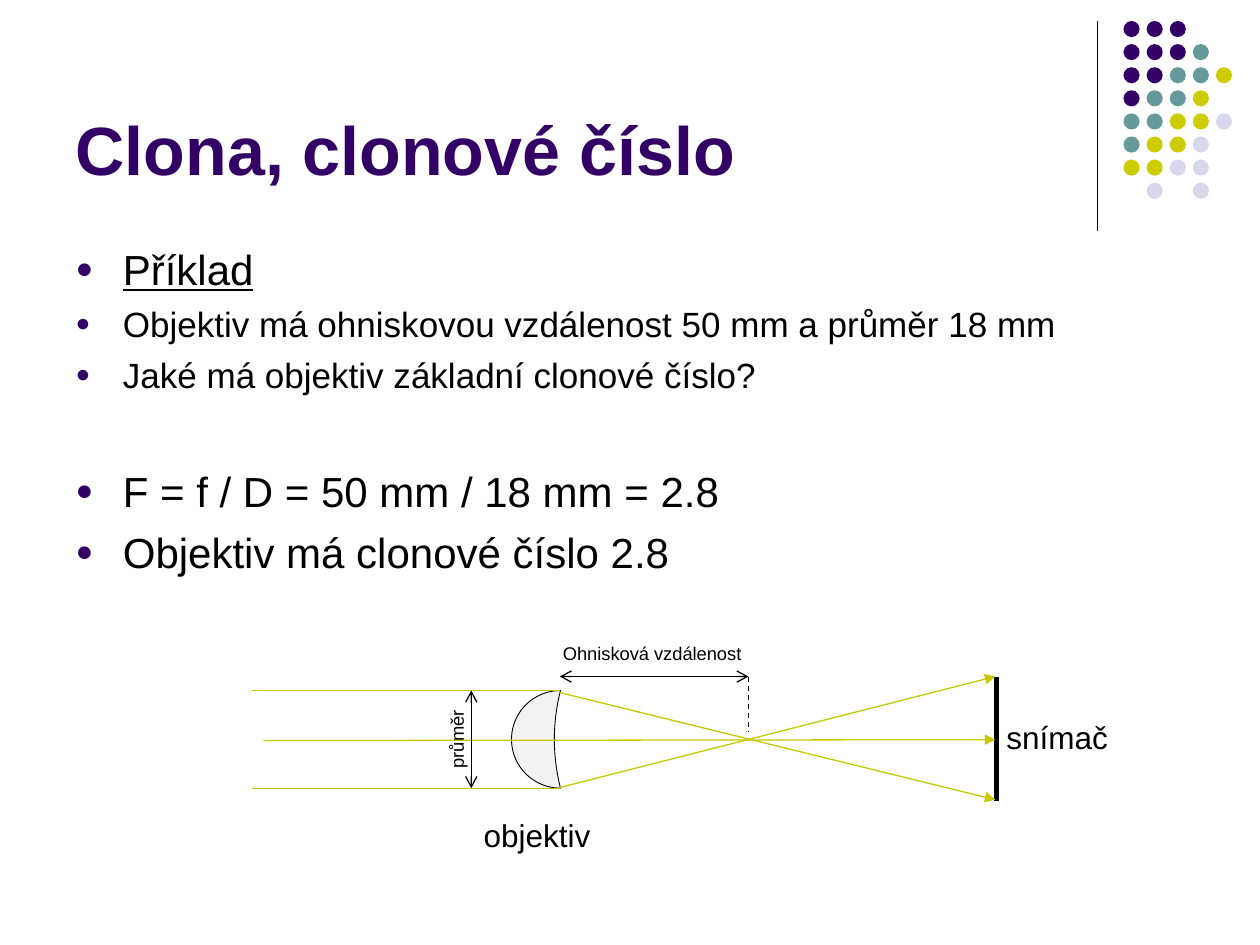
from lxml import etree
from pptx import Presentation
from pptx.dml.color import RGBColor
from pptx.enum.dml import MSO_LINE
from pptx.enum.shapes import MSO_CONNECTOR, MSO_SHAPE
from pptx.enum.text import MSO_ANCHOR, MSO_AUTO_SIZE, PP_ALIGN
from pptx.oxml.ns import qn
from pptx.util import Pt

STRAIGHT = MSO_CONNECTOR.STRAIGHT
OVAL, MOON = MSO_SHAPE.OVAL, MSO_SHAPE.MOON
DASH = MSO_LINE.DASH
TOP, BOTTOM = MSO_ANCHOR.TOP, MSO_ANCHOR.BOTTOM
LEFT = PP_ALIGN.LEFT
NO_FIT = MSO_AUTO_SIZE.NONE

BLACK = RGBColor(0x00, 0x00, 0x00)
PURPLE = RGBColor(0x33, 0x00, 0x66)
TEAL = RGBColor(0x66, 0x99, 0x99)
YELLOW = RGBColor(0xCC, 0xCC, 0x00)
LILAC = RGBColor(0xD8, 0xD8, 0xEC)
GLASS = RGBColor(0xF2, 0xF2, 0xF2)
RAY = RGBColor(0xC8, 0xC8, 0x00)

FONT = "Arial"
DOT_COLORS = {"P": PURPLE, "T": TEAL, "Y": YELLOW, "L": LILAC}
DOT_ROWS = ["PPP", "PPPT", "PPTTY", "PTTY", "TTYYL", "TYYL", "YYLL", " L L"]
DOT_LEFT, DOT_TOP, DOT_PITCH, DOT_SIZE = 642, 12, 13.2, 9.2

BULLETS = [
    ("Příklad", 24, 0, True),
    ("Objektiv má ohniskovou vzdálenost 50 mm a průměr 18 mm", 20, 5, False),
    ("Jaké má objektiv základní clonové číslo?", 20, 5, False),
    ("F = f / D = 50 mm / 18 mm = 2.8", 24, 40, False),
    ("Objektiv má clonové číslo 2.8", 24, 6, False),
]

LENS_X, LENS_TOP, LENS_BOTTOM = 319.9, 394.6, 450.4
FOCUS_X, AXIS_Y = 427.7, 422.7
SENSOR_X, SENSOR_TOP, SENSOR_BOTTOM = 569.5, 386.6, 457.9


def set_values(obj, values):
    for name, value in values.items():
        setattr(obj, name, value)


def add_run(p, text, size, color=BLACK, **extra):
    r = p.add_run()
    r.text = text
    set_values(r.font, {"name": FONT, "size": Pt(size), **extra})
    r.font.color.rgb = color


def place(sp, left, top, width, height):
    set_values(sp, {"left": Pt(left), "top": Pt(top),
                    "width": Pt(width), "height": Pt(height)})


def add_bullet(p):
    pPr = p._p.get_or_add_pPr()
    pPr.set("marL", str(Pt(27)))
    pPr.set("indent", str(-Pt(27)))
    color = etree.SubElement(pPr, qn("a:buClr"))
    etree.SubElement(color, qn("a:srgbClr"), val=str(PURPLE))
    etree.SubElement(pPr, qn("a:buSzPct"), val="70000")
    etree.SubElement(pPr, qn("a:buFont"), typeface=FONT)
    etree.SubElement(pPr, qn("a:buChar"), char="●")


def fill_title(sp):
    place(sp, 36, 9.5, 594, 102)
    tf = sp.text_frame
    set_values(tf, {"vertical_anchor": BOTTOM, "auto_size": NO_FIT})
    p = tf.paragraphs[0]
    p.alignment = LEFT
    add_run(p, "Clona, clonové číslo", 39, PURPLE, bold=True)


def fill_body(sp):
    place(sp, 36, 135.4, 648, 347)
    tf = sp.text_frame
    set_values(tf, {"vertical_anchor": TOP, "auto_size": NO_FIT})
    for i, (text, size, before, underline) in enumerate(BULLETS):
        p = tf.add_paragraph() if i else tf.paragraphs[0]
        add_bullet(p)
        p.space_before = Pt(before)
        add_run(p, text, size, underline=underline)


def add_line(s, x1, y1, x2, y2, color=BLACK, width=0.75, dash=None, head=None, tail=None):
    line = s.shapes.add_connector(STRAIGHT, Pt(x1), Pt(y1), Pt(x2), Pt(y2))
    line.line.color.rgb = color
    line.line.width = Pt(width)
    if dash:
        line.line.dash_style = dash
    spPr = line.element.spPr
    ln = spPr.find(qn("a:ln"))
    for tag, kind in (("a:headEnd", head), ("a:tailEnd", tail)):
        if kind:
            etree.SubElement(ln, qn(tag), type=kind)
    etree.SubElement(spPr, qn("a:effectLst"))


def add_shape(s, kind, left, top, width, height, fill):
    sp = s.shapes.add_shape(kind, Pt(left), Pt(top), Pt(width), Pt(height))
    sp.shadow.inherit = False
    sp.fill.solid()
    sp.fill.fore_color.rgb = fill
    sp.line.fill.background()
    return sp


def add_label(s, text, left, top, width, height, size, rotation=0):
    sp = s.shapes.add_textbox(Pt(left), Pt(top), Pt(width), Pt(height))
    sp.rotation = rotation
    sp.text_frame.word_wrap = True
    add_run(sp.text_frame.paragraphs[0], text, size)


def add_dots(s):
    for row, codes in enumerate(DOT_ROWS):
        for col, code in enumerate(codes):
            if code in DOT_COLORS:
                add_shape(s, OVAL, DOT_LEFT + col * DOT_PITCH, DOT_TOP + row * DOT_PITCH,
                          DOT_SIZE, DOT_SIZE, DOT_COLORS[code])


def add_lens(s):
    lens = add_shape(s, MOON, 292.3, LENS_TOP, 28, LENS_BOTTOM - LENS_TOP, GLASS)
    lens.adjustments[0] = 0.875
    lens.line.color.rgb = BLACK
    lens.line.width = Pt(0.5)


def add_diagram(s):
    add_lens(s)
    add_label(s, "objektiv", 269.3, 463, 90.7, 29, 18)
    add_line(s, SENSOR_X, SENSOR_TOP, SENSOR_X, SENSOR_BOTTOM, width=2.75)
    add_line(s, 150.5, 423.2, SENSOR_X - 0.7, AXIS_Y, RAY, tail="triangle")
    for y, start, end in ((LENS_BOTTOM, LENS_BOTTOM - 0.4, SENSOR_TOP),
                          (LENS_TOP, LENS_TOP + 1.2, SENSOR_BOTTOM - 0.9)):
        add_line(s, 144.3, y, LENS_X, y, RAY)
        add_line(s, LENS_X, start, SENSOR_X - 0.7, end, RAY, tail="triangle")
    add_line(s, LENS_X, SENSOR_TOP, FOCUS_X, SENSOR_TOP, head="arrow", tail="arrow")
    add_line(s, FOCUS_X, SENSOR_TOP, FOCUS_X, 418.3, dash=DASH)
    add_label(s, "Ohnisková vzdálenost", 314.6, 363.6, 136, 20, 10.5)
    add_line(s, 269.3, LENS_TOP, 269.3, LENS_BOTTOM, head="arrow", tail="arrow")
    add_label(s, "průměr", 223.9, 399, 74.2, 20, 10.5, 270)
    add_label(s, "snímač", 568, 406.8, 90.7, 29, 18)


def main():
    prs = Presentation()
    set_values(prs, {"slide_width": Pt(720), "slide_height": Pt(540)})
    s = prs.slides.add_slide(prs.slide_layouts[1])
    add_line(s, 627, 12, 627, 132)
    add_dots(s)
    fill_title(s.shapes.title)
    fill_body(s.placeholders[1])
    add_diagram(s)
    prs.save("out.pptx")


if __name__ == "__main__":
    main()
